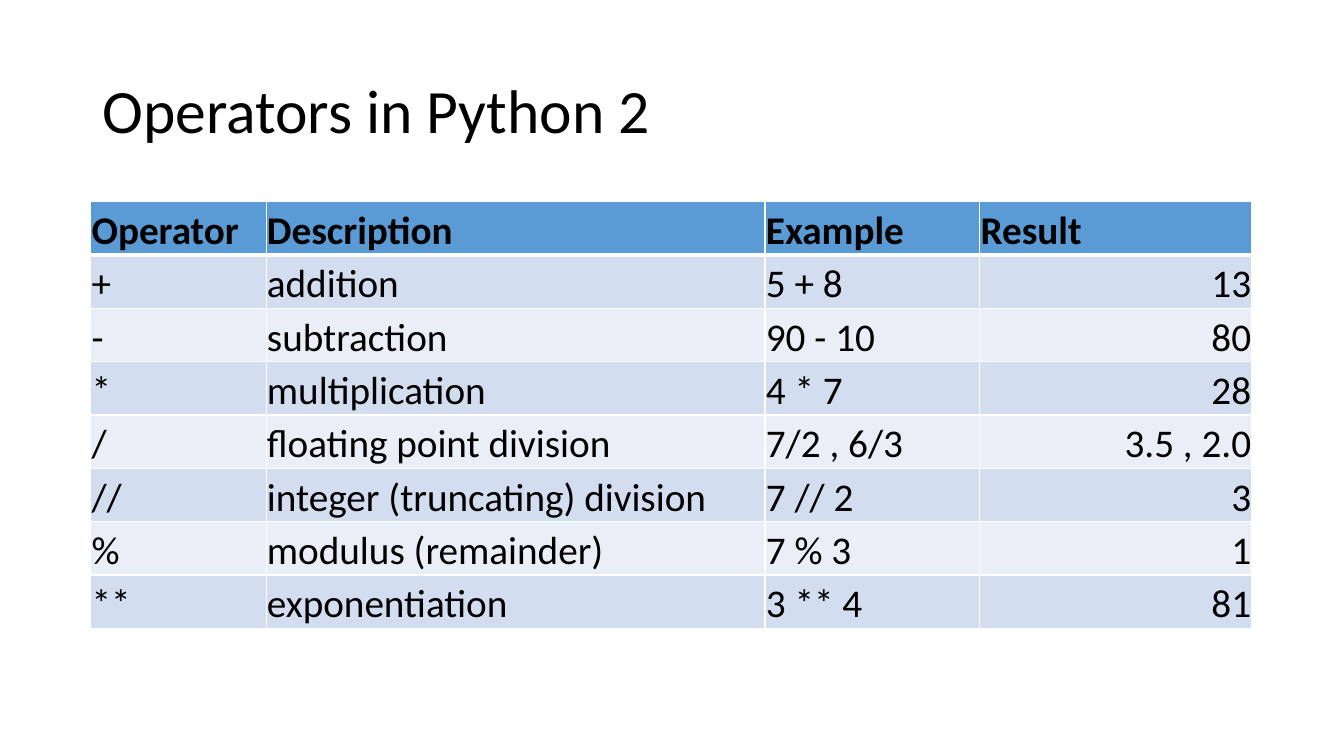
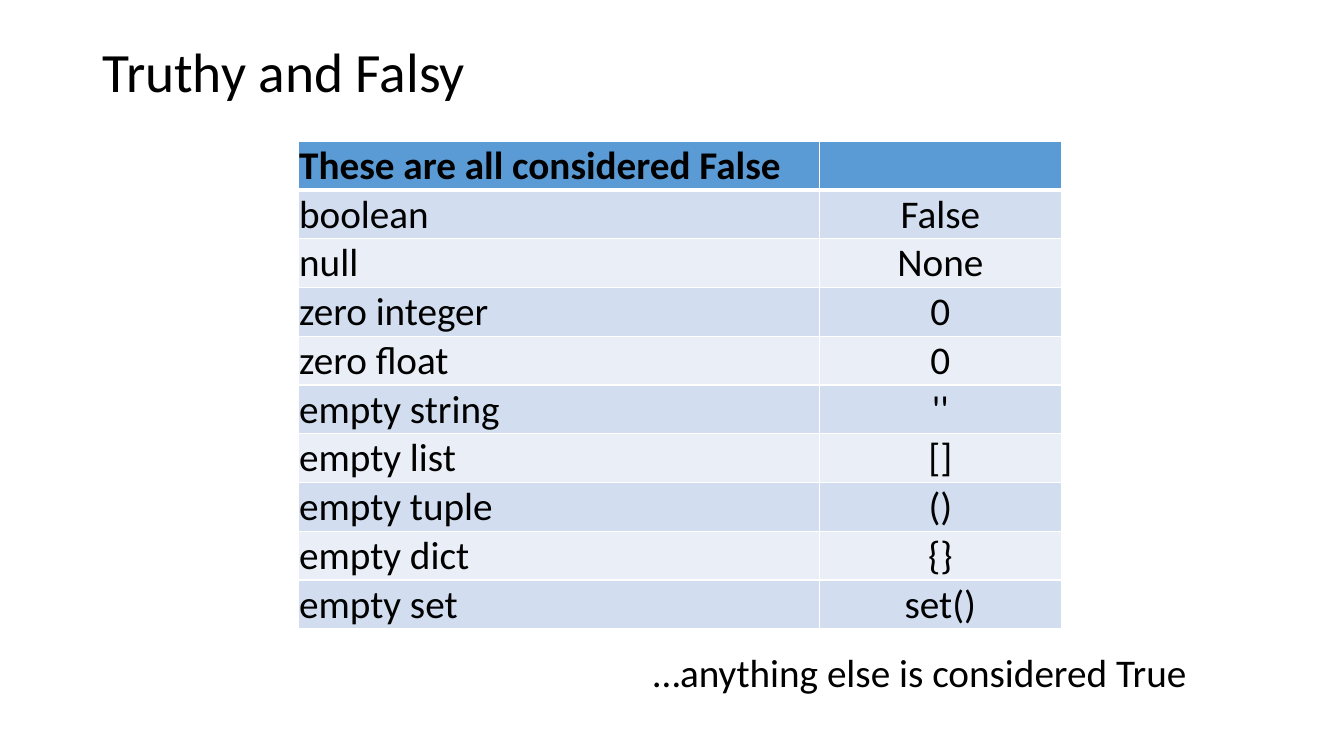
from lxml.etree import SubElement
from pptx import Presentation
from pptx.dml.color import RGBColor
from pptx.enum.text import MSO_ANCHOR, MSO_AUTO_SIZE, PP_ALIGN
from pptx.oxml.ns import qn
from pptx.util import Pt

OPS = [
    ("Operator", "Description", "Example", "Result"),
    ("+", "addition", "5 + 8", "13"),
    ("-", "subtraction", "90 - 10", "80"),
    ("*", "multiplication", "4 * 7", "28"),
    ("/", "floating point division", "7/2 , 6/3", "3.5 , 2.0"),
    ("//", "integer (truncating) division", "7 // 2", "3"),
    ("%", "modulus (remainder)", "7 % 3", "1"),
    ("**", "exponentiation", "3 ** 4", "81"),
]
FALSY = [
    ("These are all considered False", ""),
    ("boolean", "False"),
    ("null", "None"),
    ("zero integer", "0"),
    ("zero float", "0"),
    ("empty string", "''"),
    ("empty list", "[]"),
    ("empty tuple", "()"),
    ("empty dict", "{}"),
    ("empty set", "set()"),
]
NOTE = "…anything else is considered True"

FONT = "Calibri"
BLACK = RGBColor(0, 0, 0)
WHITE = RGBColor(0xFF, 0xFF, 0xFF)
HEAD = RGBColor(0x5B, 0x9B, 0xD5)
BANDS = (RGBColor(0xEA, 0xEF, 0xF7), RGBColor(0xD2, 0xDE, 0xEF))


def write(para, text, size=28, bold=False):
    """Add one styled run to a paragraph."""
    run = para.add_run()
    run.text = text
    font = run.font
    font.name, font.size, font.bold = FONT, Pt(size), bold
    font.color.rgb = BLACK


def add_page(deck, title, height, size):
    """Add a slide with its title placed and styled."""
    page = deck.slides.add_slide(deck.slide_layouts[5])
    box = page.shapes.title
    box.left, box.top = Pt(66), Pt(28.8)
    box.width, box.height = Pt(828), Pt(height)
    frame = box.text_frame
    frame.auto_size = MSO_AUTO_SIZE.NONE
    frame.vertical_anchor = MSO_ANCHOR.MIDDLE
    para = frame.paragraphs[0]
    para.alignment, para.line_spacing = PP_ALIGN.LEFT, 0.9
    write(para, title, size)
    return page


def add_edges(cell, row):
    """Draw white cell borders, thick below the header row."""
    props = cell._tc.get_or_add_tcPr()
    thick = {"lnB": 0, "lnT": 1}
    for side in ("lnL", "lnR", "lnT", "lnB"):
        width = 3 if thick.get(side) == row else 1
        line = SubElement(props, qn("a:" + side), w=str(Pt(width)))
        fill = SubElement(line, qn("a:solidFill"))
        SubElement(fill, qn("a:srgbClr"), val=str(WHITE))


def add_grid(page, rows, left, top, widths, height, last):
    """Add a banded table; the last column's body is aligned by last."""
    grid = page.shapes.add_table(
        len(rows), len(widths), Pt(left), Pt(top),
        Pt(sum(widths)), Pt(height * len(rows))).table
    for col, width in zip(grid.columns, widths):
        col.width = Pt(width)
    for r, texts in enumerate(rows):
        grid.rows[r].height = Pt(height)
        for c, text in enumerate(texts):
            cell = grid.cell(r, c)
            cell.margin_left = cell.margin_right = cell.margin_top = Pt(0.6)
            cell.margin_bottom = Pt(0)
            cell.vertical_anchor = MSO_ANCHOR.BOTTOM
            add_edges(cell, r)
            cell.fill.solid()
            cell.fill.fore_color.rgb = BANDS[r % 2] if r else HEAD
            para = cell.text_frame.paragraphs[0]
            if r and c == len(widths) - 1:
                para.alignment = last
            if text:
                write(para, text, bold=r == 0)


def add_note(page, text, left, top, width, height):
    """Add a single line of text that does not wrap."""
    box = page.shapes.add_textbox(Pt(left), Pt(top), Pt(width), Pt(height))
    frame = box.text_frame
    frame.word_wrap = False
    frame.auto_size = MSO_AUTO_SIZE.SHAPE_TO_FIT_TEXT
    write(frame.paragraphs[0], text)


deck = Presentation()
deck.slide_width, deck.slide_height = Pt(960), Pt(540)

page = add_page(deck, "Operators in Python 2", 104.4, 44)
add_grid(page, OPS, 64.8, 144, (125.3, 356.4, 153.4, 194.4), 38.1,
         PP_ALIGN.RIGHT)

page = add_page(deck, "Truthy and Falsy", 49, 39.6)
add_grid(page, FALSY, 213.1, 100.8, (372.2, 172.8), 34.6, PP_ALIGN.CENTER)
add_note(page, NOTE, 459.4, 459.4, 399.6, 41)

deck.save("out.pptx")
